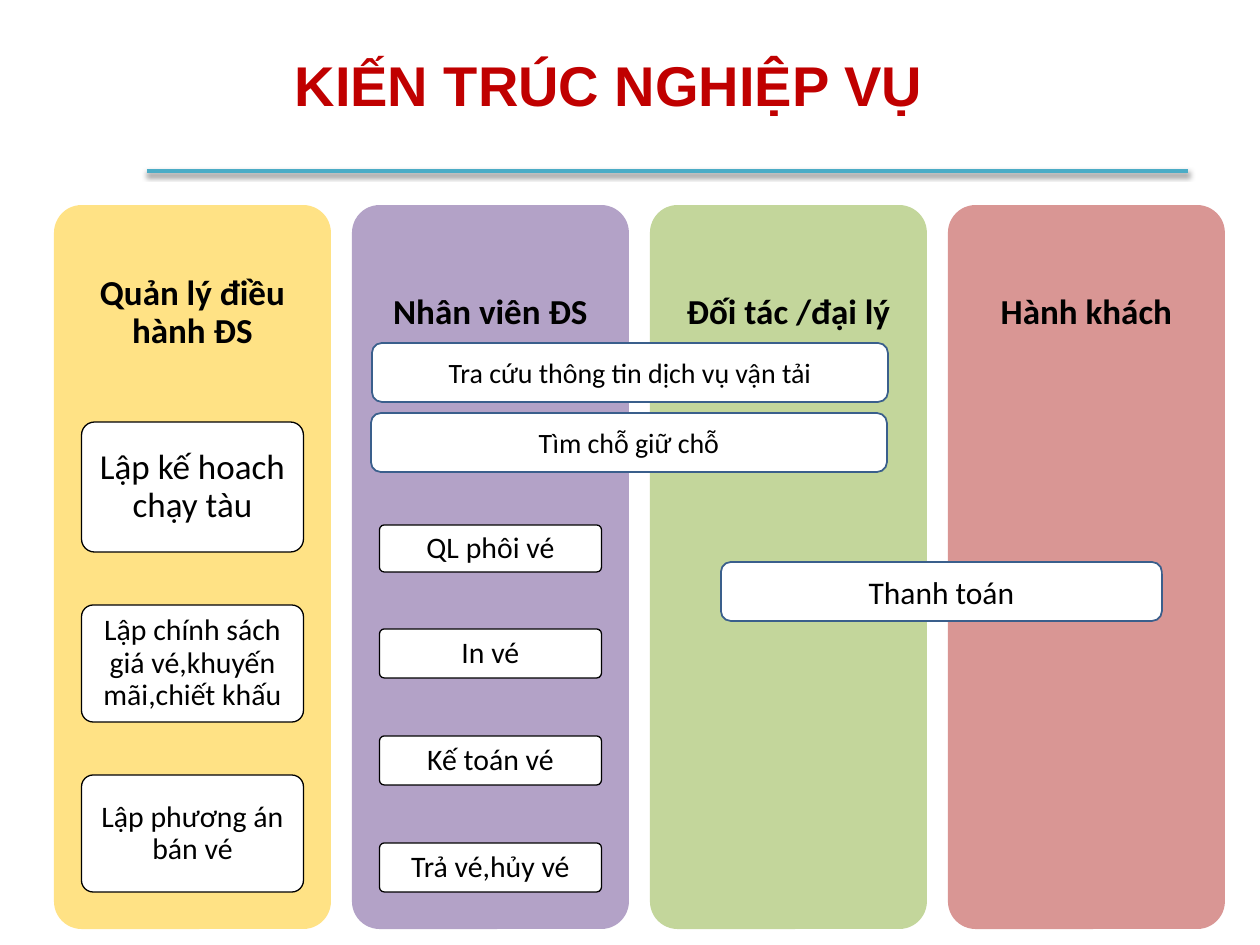
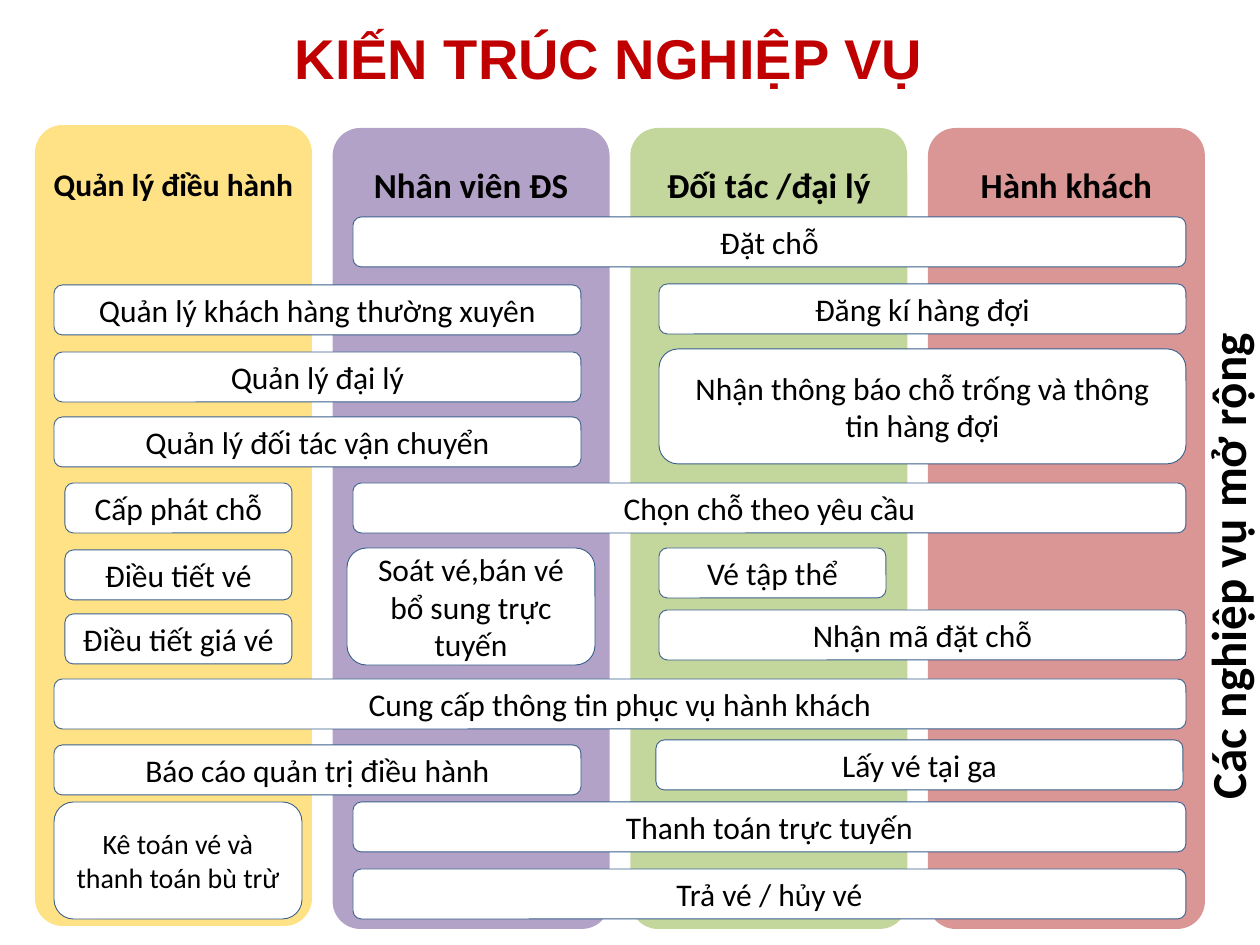
from lxml.etree import SubElement
from pptx import Presentation
from pptx.dml.color import RGBColor
from pptx.enum.shapes import MSO_CONNECTOR, MSO_SHAPE
from pptx.enum.text import MSO_ANCHOR, MSO_AUTO_SIZE, PP_ALIGN
from pptx.oxml.ns import qn
from pptx.util import Pt

EMU_PER_PX = 914400 / 126
SLIDE_W, SLIDE_H = 1260, 945

WHITE, BLACK = "FFFFFF", "000000"
TITLE_RED, RULE_TEAL, BAR_BLUE = "C00000", "4BACC6", "3A5F8C"
COLUMN_COLOURS = ["FFE285", "B3A2C7", "C3D69B", "D99694"]
COLUMN_W, COLUMN_BOTTOM = 277, 929
CARD_W = 222
COLUMN_ADJ = 0.1

TITLE = "KIẾN TRÚC NGHIỆP VỤ"
SIDE_LABEL = "Các nghiệp vụ mở rộng"
SHARED_ROLES = [("Nhân viên ĐS", 20), ("Đối tác /đại lý", 20), ("Hành khách", 20)]
BASIC_ROLES = [("Quản lý điều hành ĐS", 20)] + SHARED_ROLES
EXTENDED_ROLES = [("Quản lý điều hành", 18)] + SHARED_ROLES

# Column number: (text, top, height, size)
BASIC_CARDS = {
    0: [
        ("Lập kế hoach chạy tàu", 422, 130, 20),
        ("Lập chính sách giá vé,khuyến mãi,chiết khấu", 605, 117, 17),
        ("Lập phương án bán vé", 775, 117, 17),
    ],
    1: [
        ("QL phôi vé", 525, 47, 17),
        ("In vé", 629, 49, 17),
        ("Kế toán vé", 736, 49, 17),
        ("Trả vé,hủy vé", 843, 49, 17),
    ],
}

# (text, left, top, width, size)
BASIC_BARS = [
    ("Tra cứu thông tin dịch vụ vận tải", 372, 343, 516, 16),
    ("Tìm chỗ giữ chỗ", 371, 413, 516, 16),
    ("Thanh toán", 721, 562, 441, 18),
]
BASIC_BAR_H = 59

# (left, width) of the roles a function covers: (text, top)
EXTENDED_BARS = {
    (353, 833): [
        ("Đặt chỗ", 217),
        ("Chọn chỗ theo yêu cầu", 483),
        ("Thanh toán trực tuyến", 802),
        ("Trả vé / hủy vé", 869),
    ],
    (54, 527): [
        ("Quản lý khách hàng thường xuyên", 285),
        ("Quản lý đại lý", 352),
        ("Quản lý đối tác vận chuyển", 417),
        ("Báo cáo quản trị điều hành", 745),
    ],
    (659, 527): [("Đăng kí hàng đợi", 284), ("Nhận mã đặt chỗ", 610)],
    (656, 527): [("Lấy vé tại ga", 740)],
    (659, 227): [("Vé tập thể", 548)],
    (54, 1132): [("Cung cấp thông tin phục vụ hành khách", 679)],
    (65, 227): [
        ("Cấp phát chỗ", 483),
        ("Điều tiết vé", 550),
        ("Điều tiết giá vé", 614),
    ],
}
EXTENDED_BAR_H = 50

# (text, left, top, width, height, size)
EXTENDED_BLOCKS = [
    ("Nhận thông báo chỗ trống và thông tin hàng đợi", 659, 349, 527, 115, 18),
    ("Kê toán vé và thanh toán bù trừ", 54, 802, 248, 117, 16),
    ("Soát vé,bán vé bổ sung trực tuyến", 347, 548, 248, 117, 18),
]


def px(*lengths):
    return [round(length * EMU_PER_PX) for length in lengths]


def colour(hex_value):
    return RGBColor.from_string(hex_value)


def write(frame, text, size, hex_value=BLACK, bold=False, font="Calibri",
          align=PP_ALIGN.CENTER, anchor=MSO_ANCHOR.MIDDLE, spacing=None,
          margin=None, wrap=True):
    frame.text = text
    frame.word_wrap = wrap
    frame.auto_size = MSO_AUTO_SIZE.NONE
    frame.vertical_anchor = anchor
    if margin is not None:
        inset, = px(margin)
        frame.margin_left = frame.margin_right = inset
        frame.margin_top = frame.margin_bottom = inset
    paragraph = frame.paragraphs[0]
    paragraph.alignment = align
    paragraph.line_spacing = spacing
    style = paragraph.runs[0].font
    style.name, style.size, style.bold = font, Pt(size), bold
    style.color.rgb = colour(hex_value)


def add_panel(slide, box, fill, line=None, line_pt=1.0, adj=None):
    """Add a rounded rectangle; box is left, top, width, height in px."""
    panel = slide.shapes.add_shape(MSO_SHAPE.ROUNDED_RECTANGLE, *px(*box))
    panel.shadow.inherit = False
    panel.fill.solid()
    panel.fill.fore_color.rgb = colour(fill)
    if line:
        panel.line.color.rgb = colour(line)
        panel.line.width = Pt(line_pt)
    else:
        panel.line.fill.background()
    if adj is not None:
        panel.adjustments[0] = adj
    return panel


def add_bar(slide, text, box, size, line_pt):
    bar = add_panel(slide, box, WHITE, BAR_BLUE, line_pt)
    write(bar.text_frame, text, size)


def add_card(slide, text, box, size):
    card = add_panel(slide, box, WHITE, BLACK, 0.75, COLUMN_ADJ)
    write(card.text_frame, text, size, spacing=0.9, margin=6)


def add_titled_slide(deck, title_top):
    slide = deck.slides.add_slide(deck.slide_layouts[5])
    title = slide.shapes.title
    title.left, title.top, title.width, title.height = px(282, title_top, 725, 81)
    write(title.text_frame, TITLE, 32, TITLE_RED, True, "Arial",
          PP_ALIGN.LEFT, MSO_ANCHOR.TOP)
    return slide


def add_columns(slide, roles, first_left, last_left, tops, header_bottom):
    """Draw one column per role and return the left edges."""
    pitch = (last_left - first_left) / (len(roles) - 1)
    lefts = [first_left + pitch * i for i in range(len(roles))]
    for (role, size), fill, left, top in zip(roles, COLUMN_COLOURS, lefts, tops):
        height = COLUMN_BOTTOM - tops[-1]
        add_panel(slide, (left, top, COLUMN_W, height), fill, adj=COLUMN_ADJ)
        header = slide.shapes.add_textbox(
            *px(left, top, COLUMN_W, header_bottom - top))
        write(header.text_frame, role, size, bold=True, spacing=0.9, margin=10)
    return lefts


def add_title_rule(slide):
    rule = slide.shapes.add_connector(MSO_CONNECTOR.STRAIGHT, *px(147, 171, 1188, 171))
    rule.line.color.rgb = colour(RULE_TEAL)
    rule.line.width = Pt(2.5)
    effects = SubElement(rule._element.spPr, qn("a:effectLst"))
    shadow = SubElement(effects, qn("a:outerShdw"), blurRad="40000", dist="20000",
                        dir="5400000", rotWithShape="0")
    tint = SubElement(shadow, qn("a:srgbClr"), val=BLACK)
    SubElement(tint, qn("a:alpha"), val="38000")


def build_basic(deck):
    slide = add_titled_slide(deck, 44)
    add_title_rule(slide)
    lefts = add_columns(slide, BASIC_ROLES, 54, 948, [205] * 4, 421)
    for column, cards in BASIC_CARDS.items():
        card_left = lefts[column] + (COLUMN_W - CARD_W) / 2
        for text, top, height, size in cards:
            add_card(slide, text, (card_left, top, CARD_W, height), size)
    for text, left, top, width, size in BASIC_BARS:
        add_bar(slide, text, (left, top, width, BASIC_BAR_H), size, 1)


def build_extended(deck):
    slide = add_titled_slide(deck, 17)
    add_columns(slide, EXTENDED_ROLES, 35, 928, [125, 128, 128, 128], 247)
    for (left, width), bars in EXTENDED_BARS.items():
        for text, top in bars:
            add_bar(slide, text, (left, top, width, EXTENDED_BAR_H), 18, 0.5)
    for text, *box, size in EXTENDED_BLOCKS:
        add_bar(slide, text, box, size, 0.5)
    side = slide.shapes.add_textbox(*px(978, 527, 498, 72))
    side.rotation = 270
    write(side.text_frame, SIDE_LABEL, 28, bold=True, align=PP_ALIGN.LEFT,
          anchor=MSO_ANCHOR.TOP, wrap=False)


def main():
    deck = Presentation()
    deck.slide_width, deck.slide_height = px(SLIDE_W, SLIDE_H)
    build_basic(deck)
    build_extended(deck)
    deck.save("out.pptx")


if __name__ == "__main__":
    main()
